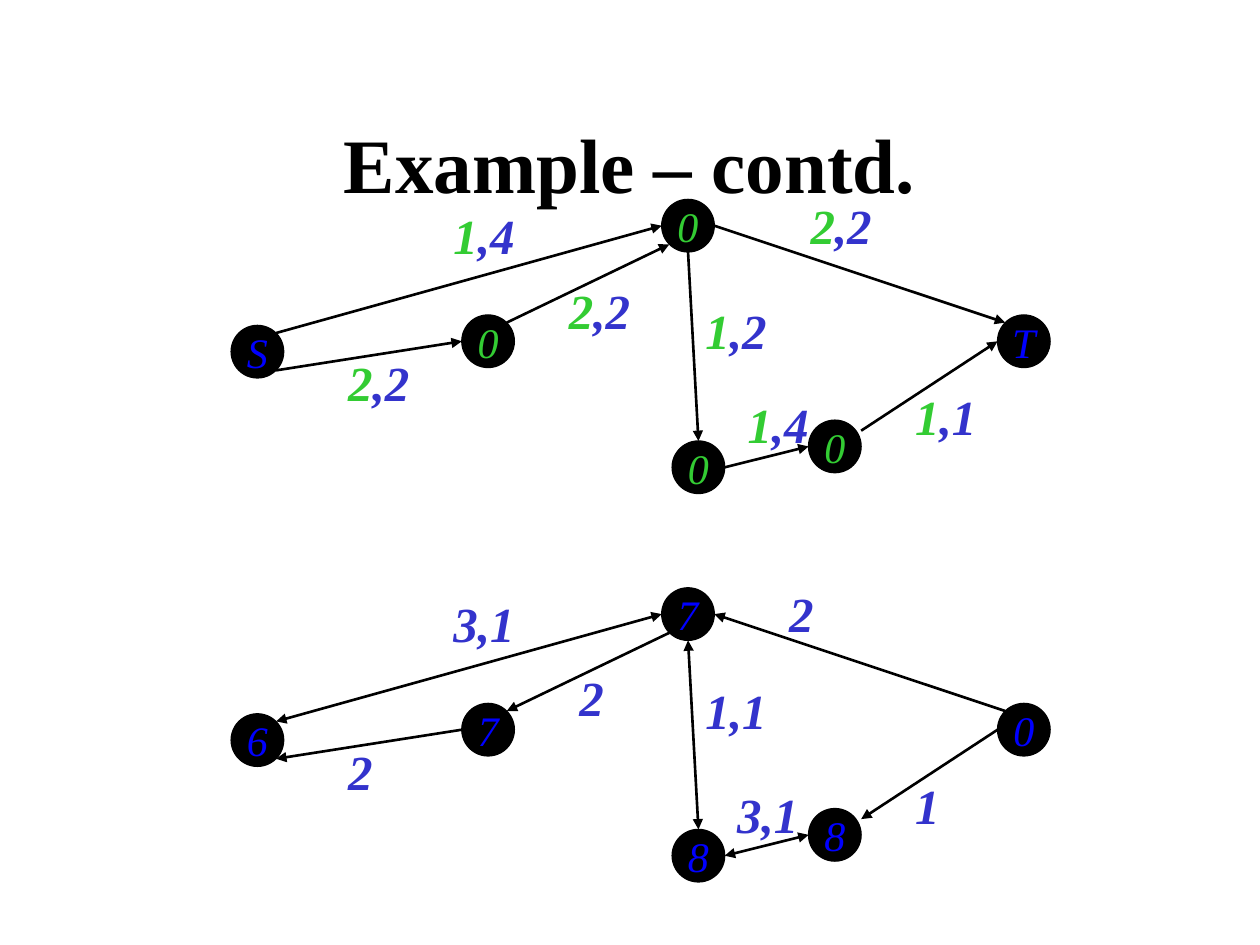
"""Build a slide with a flow network and its residual network."""
from lxml.etree import SubElement
from pptx import Presentation
from pptx.dml.color import RGBColor
from pptx.enum.shapes import MSO_CONNECTOR as Link, MSO_SHAPE as Shape
from pptx.enum.text import MSO_ANCHOR as Anchor, MSO_AUTO_SIZE as Fit, PP_ALIGN as Align
from pptx.oxml.ns import qn
from pptx.util import Cm, Pt

COLOURS = {"ink": "000000", "terminal": "0000FF", "flow": "33CC33", "capacity": "3333CC"}
DIAMETER = 1.06
DIAGONAL = 0.71
SITES = {
    "top": (0, -1), "bottom": (0, 1), "left": (-1, 0), "right": (1, 0),
    "top left": (-DIAGONAL, -DIAGONAL), "top right": (DIAGONAL, -DIAGONAL),
    "bottom left": (-DIAGONAL, DIAGONAL), "bottom right": (DIAGONAL, DIAGONAL),
    "upper right": (1, -0.6),
}
NODES = {
    "source": (4.66, 6.56), "relay": (9.31, 6.35), "hub": (13.34, 4.02),
    "sink": (20.11, 6.35), "low": (13.55, 8.89), "exit": (16.3, 8.47),
}
EDGES = [
    ("source", "top right", "hub", "left"),
    ("source", "bottom right", "relay", "left"),
    ("relay", "top right", "hub", "bottom left"),
    ("hub", "bottom", "low", "top"),
    ("hub", "right", "sink", "top left"),
    ("low", "right", "exit", "left"),
    ("exit", "upper right", "sink", "left"),
]
FLOW = {
    "offset": 0,
    "nodes": {"source": "S", "relay": "0", "hub": "0", "sink": "T", "low": "0", "exit": "0"},
    "number colour": "flow",
    "arrows": ["tail"] * len(EDGES),
    "labels": [
        ("1", ",4", 8.89, 4.02, 1.91), ("2", ",2", 6.77, 6.99, 1.91),
        ("2", ",2", 11.22, 5.54, 1.91), ("1", ",2", 13.97, 5.93, 1.91),
        ("2", ",2", 16.09, 3.81, 1.91), ("1", ",4", 14.82, 7.83, 2.12),
        ("1", ",1", 18.2, 7.67, 2.12),
    ],
}
RESIDUAL = {
    "offset": 7.83,
    "nodes": {"source": "6", "relay": "7", "hub": "7", "sink": "0", "low": "8", "exit": "8"},
    "number colour": "terminal",
    "arrows": ["both", "head", "head", "both", "head", "both", "head"],
    "labels": [
        ("", "3,1", 8.89, 4.02, 1.91), ("", "2", 6.77, 6.99, 1.06),
        ("", "2", 11.43, 5.5, 1.06), ("", "1,1", 13.97, 5.76, 1.91),
        ("", "2", 15.66, 3.81, 1.06), ("", "3,1", 14.61, 7.86, 1.91),
        ("", "1", 18.2, 7.67, 1.06),
    ],
}


class NetworkSlide:
    """Hold the style and the current slide."""

    font_name = "Times New Roman"

    def __init__(self, deck):
        self.page = deck.slides.add_slide(deck.slide_layouts[5])
        self.group = None

    def add_span(self, para, text, size, colour, bold=False, italic=False):
        span = para.add_run()
        span.text = text
        font = span.font
        font.name, font.size, font.bold, font.italic = self.font_name, Pt(size), bold, italic
        font.color.rgb = RGBColor.from_string(COLOURS[colour])

    def title(self, text):
        box = self.page.shapes.title
        box.left, box.top, box.width, box.height = Cm(1.9), Cm(1.69), Cm(21.59), Cm(3.18)
        frame = box.text_frame
        frame.auto_size, frame.vertical_anchor = Fit.NONE, Anchor.MIDDLE
        para = frame.paragraphs[0]
        para.alignment = Align.CENTER
        self.add_span(para, text, 44, "ink", bold=True)

    def node(self, text, left, top, colour):
        disc = self.group.add_shape(Shape.OVAL, Cm(left), Cm(top), Cm(DIAMETER), Cm(DIAMETER))
        disc.shadow.inherit = False
        ink = RGBColor.from_string(COLOURS["ink"])
        disc.fill.solid()
        disc.fill.fore_color.rgb = ink
        disc.line.color.rgb, disc.line.width = ink, Pt(0.75)
        frame = disc.text_frame
        frame.word_wrap, frame.vertical_anchor = False, Anchor.MIDDLE
        para = frame.paragraphs[0]
        para.alignment = Align.CENTER
        self.add_span(para, text, 24, colour, italic=True)

    def edge(self, start, finish, arrows):
        link = self.group.add_connector(Link.STRAIGHT, *map(Cm, start + finish))
        link.line.color.rgb = RGBColor.from_string(COLOURS["ink"])
        link.line.width = Pt(1.5)
        properties = link._element.spPr
        outline = properties.find(qn("a:ln"))
        for end in ("head", "tail"):
            if arrows in (end, "both"):
                SubElement(outline, qn(f"a:{end}End"), type="triangle")
        SubElement(properties, qn("a:effectLst"))

    def label(self, flow, capacity, left, top, width):
        box = self.group.add_textbox(Cm(left), Cm(top), Cm(width), Cm(1.45))
        frame = box.text_frame
        frame.word_wrap, frame.auto_size = True, Fit.SHAPE_TO_FIT_TEXT
        for text, colour in ((flow, "flow"), (capacity, "capacity")):
            if text:
                self.add_span(frame.paragraphs[0], text, 28, colour, bold=True, italic=True)

    def network(self, graph):
        self.group = self.page.shapes.add_group_shape().shapes
        offset = graph["offset"]
        radius = DIAMETER / 2

        def site_point(name, site):
            left, top = NODES[name]
            across, down = SITES[site]
            return left + radius * (1 + across), top + offset + radius * (1 + down)

        for (first, first_site, last, last_site), arrows in zip(EDGES, graph["arrows"]):
            self.edge(site_point(first, first_site), site_point(last, last_site), arrows)
        for name, text in graph["nodes"].items():
            left, top = NODES[name]
            colour = graph["number colour"] if text.isdigit() else "terminal"
            self.node(text, left, top + offset, colour)
        for flow, capacity, left, top, width in graph["labels"]:
            self.label(flow, capacity, left, top + offset, width)


def main():
    deck = Presentation()
    deck.slide_width, deck.slide_height = Cm(25.4), Cm(19.05)
    slide = NetworkSlide(deck)
    slide.title("Example – contd.")
    slide.network(RESIDUAL)
    slide.network(FLOW)
    deck.save("out.pptx")


if __name__ == "__main__":
    main()
